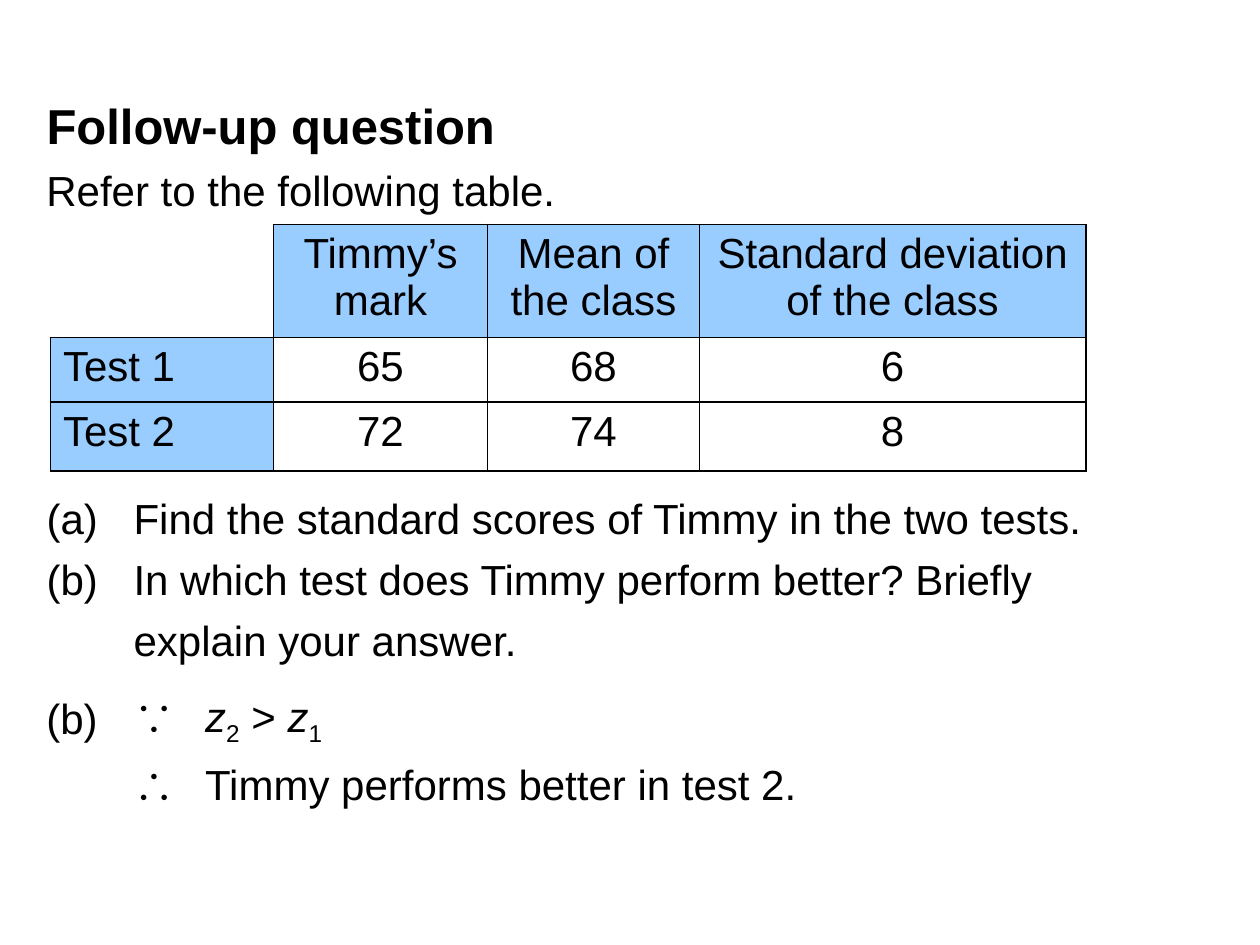
from lxml import etree
from pptx import Presentation
from pptx.dml.color import RGBColor
from pptx.enum.text import MSO_ANCHOR, MSO_AUTO_SIZE, PP_ALIGN
from pptx.oxml.ns import qn
from pptx.util import Inches, Pt

LEFT, CENTER = PP_ALIGN.LEFT, PP_ALIGN.CENTER
TOP = MSO_ANCHOR.TOP
FIXED = MSO_AUTO_SIZE.NONE
COLORS = {"ink": "000000", "header": "99CCFF"}
ITALIC, SUBSCRIPT = "italic", "subscript"


class QuestionSlide:
    font = "Arial"
    size = 24

    def __init__(self, deck):
        self.page = deck.slides.add_slide(deck.slide_layouts[1])

    def color(self, name):
        return RGBColor.from_string(COLORS[name])

    def add_spans(self, para, spans, size=None, bold=False, align=LEFT, before=0):
        para.alignment = align
        para.space_before = Pt(before)
        for text, style in spans:
            span = para.add_run()
            span.text = text
            font = span.font
            font.name, font.size, font.bold = self.font, Pt(size or self.size), bold
            font.color.rgb = self.color("ink")
            if style == ITALIC:
                font.italic = True
            elif style == SUBSCRIPT:
                font._element.set("baseline", "-25000")

    def place(self, box, left, top, width, height):
        box.left, box.top = Inches(left), Inches(top)
        box.width, box.height = Inches(width), Inches(height)
        frame = box.text_frame
        frame.word_wrap = True
        frame.auto_size = FIXED
        frame.vertical_anchor = TOP
        return frame

    def title(self, text, *area):
        frame = self.place(self.page.shapes.title, *area)
        self.add_spans(frame.paragraphs[0], [(text, None)], size=28, bold=True)

    def fill_lines(self, frame, lines, hang):
        for index, spans in enumerate(lines):
            para = frame.add_paragraph() if index else frame.paragraphs[0]
            self.add_spans(para, spans, before=6 if index else 0)
            props = para._p.get_or_add_pPr()
            props.set("marL", str(Inches(hang)))
            props.set("indent", str(-Inches(hang)))
            etree.SubElement(props, qn("a:buNone"))

    def body(self, lines, hang, *area):
        frame = self.place(self.page.placeholders[1], *area)
        self.fill_lines(frame, lines, hang)

    def text(self, lines, hang, *area):
        box = self.page.shapes.add_textbox(*map(Inches, area))
        self.fill_lines(self.place(box, *area), lines, hang)

    def border(self, cell, hidden=()):
        props = cell._tc.get_or_add_tcPr()
        for side in "LRTB":
            line = etree.SubElement(props, qn(f"a:ln{side}"), w=str(Pt(1)))
            if side in hidden:
                etree.SubElement(line, qn("a:noFill"))
            else:
                fill = etree.SubElement(line, qn("a:solidFill"))
                etree.SubElement(fill, qn("a:srgbClr"), val=COLORS["ink"])

    def table(self, rows, left, top, widths, heights):
        frame = self.page.shapes.add_table(
            len(rows), len(widths), Inches(left), Inches(top),
            Inches(sum(widths)), Inches(sum(heights)))
        table = frame.table
        table.first_row = table.horz_banding = False
        for column, width in zip(table.columns, widths):
            column.width = Inches(width)
        for row, height in zip(table.rows, heights):
            row.height = Inches(height)
        for r, values in enumerate(rows):
            for c, value in enumerate(values):
                cell = table.cell(r, c)
                self.border(cell, hidden="" if value else "LT")
                if value and (r == 0 or c == 0):
                    cell.fill.solid()
                    cell.fill.fore_color.rgb = self.color("header")
                else:
                    cell.fill.background()
                if value:
                    self.add_spans(cell.text_frame.paragraphs[0], [(value, None)],
                                   align=CENTER if c else LEFT)


def main():
    deck = Presentation()
    deck.slide_width, deck.slide_height = Inches(10), Inches(7.5)
    slide = QuestionSlide(deck)
    margin, hang = 0.27, 0.69

    slide.title("Follow-up question", margin, 0.71, 4.73, 0.57)
    slide.text([[("Refer to the following table.", None)]], 0, margin, 1.26, 9.37, 0.5)
    slide.table(
        [["", "Timmy’s mark", "Mean of the class", "Standard deviation of the class"],
         ["Test 1", "65", "68", "6"],
         ["Test 2", "72", "74", "8"]],
        0.4, 1.78, [1.77, 1.7, 1.68, 3.07], [0.9, 0.51, 0.55])
    slide.body(
        [[("(a)\tFind the standard scores of Timmy in the two tests.", None)],
         [("(b)\tIn which test does Timmy perform better? Briefly", None)],
         [("\texplain your answer.", None)]],
        hang, margin, 3.86, 9.06, 1.46)
    slide.text([[("(b)", None)]], 0, margin, 5.45, hang, 0.5)
    slide.text(
        [[("∵\t", None), ("z", ITALIC), ("2", SUBSCRIPT), (" > ", None),
          ("z", ITALIC), ("1", SUBSCRIPT)],
         [("∴\tTimmy performs better in test 2.", None)]],
        0.57, margin + hang, 5.43, 6.63, 0.99)

    deck.save("out.pptx")


if __name__ == "__main__":
    main()
